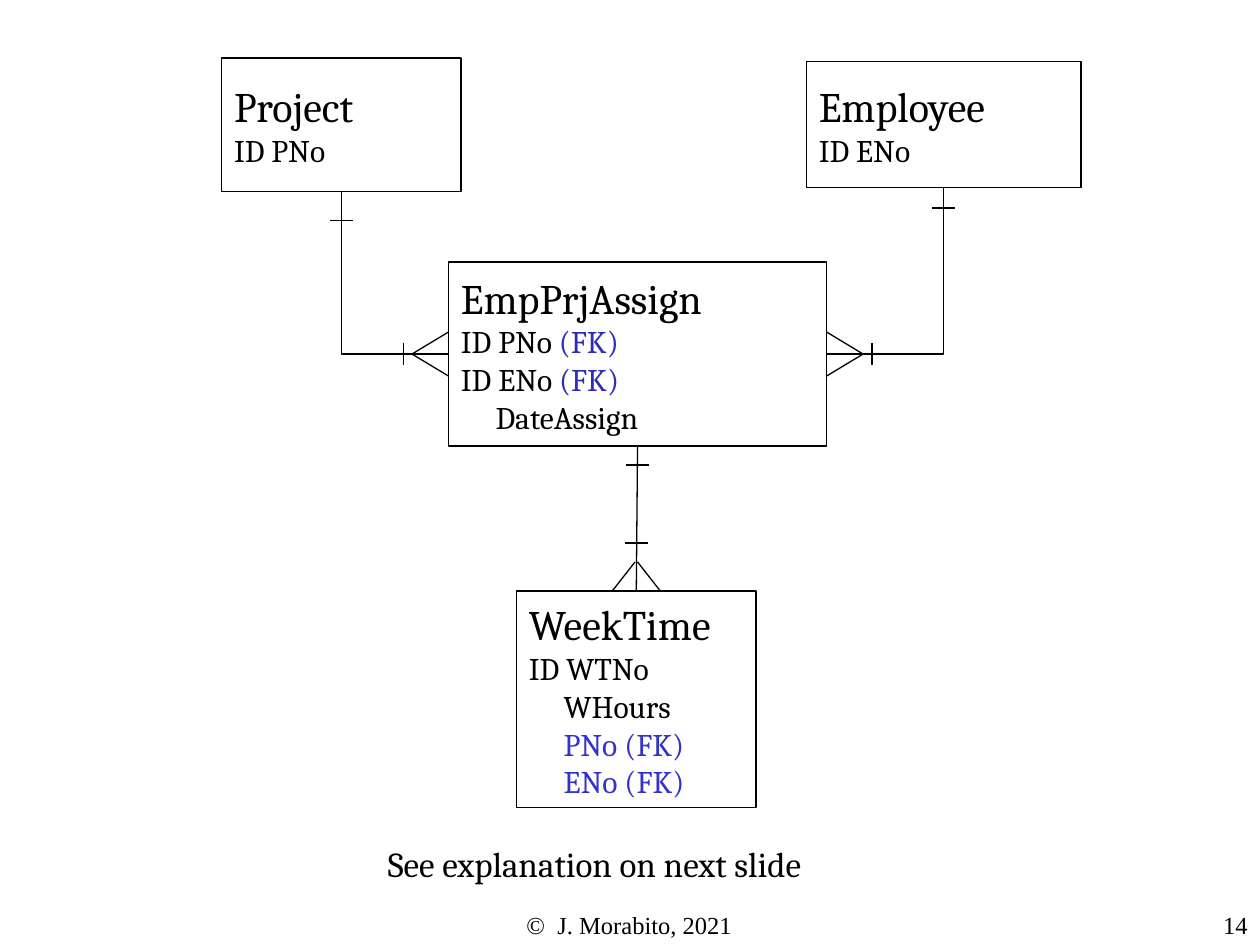
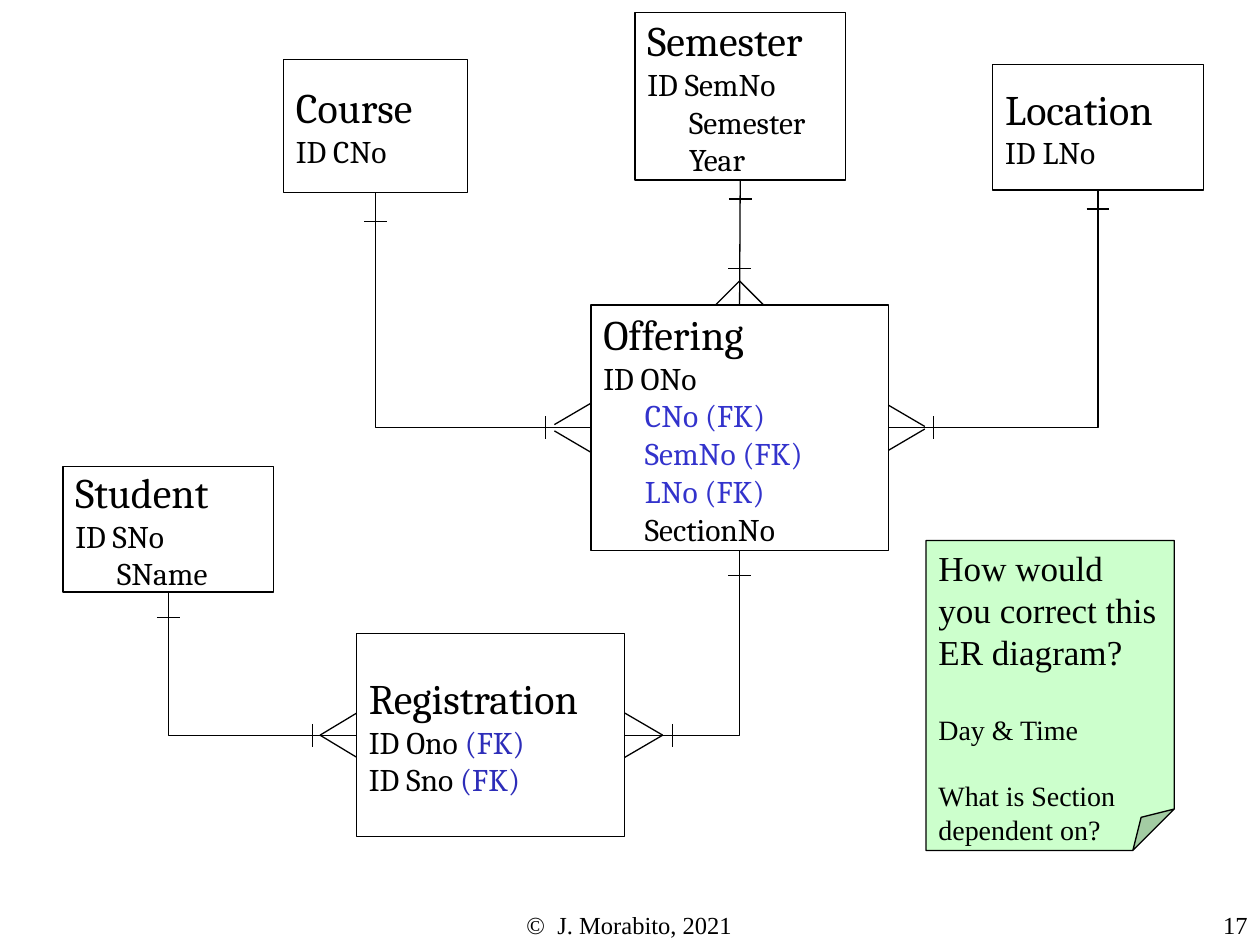
from lxml.etree import SubElement
from pptx import Presentation
from pptx.dml.color import RGBColor
from pptx.enum.shapes import MSO_CONNECTOR, MSO_SHAPE
from pptx.enum.text import MSO_ANCHOR, PP_ALIGN
from pptx.oxml.ns import qn
from pptx.util import Inches, Pt

BLACK = RGBColor(0x00, 0x00, 0x00)
KEY_BLUE = RGBColor(0x33, 0x33, 0xCC)
KEY_MARK_BLUE = RGBColor(0x2D, 0x2D, 0xB9)
NOTE_GREEN = RGBColor(0xCC, 0xFF, 0xCC)

DIAGRAM_FONT = "Cambria"
PLAIN_FONT = "Times New Roman"
FOREIGN_KEY = "(FK)"
COPYRIGHT = "©  J. Morabito, 2021"

COLUMNS, ROWS = 100, 75
WIDTH, HEIGHT = Inches(10), Inches(7.5)
TOP, LEFT, BOTTOM, RIGHT = range(4)
OUTWARD = {TOP: (0, -1), LEFT: (-1, 0), BOTTOM: (0, 1), RIGHT: (1, 0)}
HALF_BAR = 0.9


def write(frame, text, size=18, font=DIAGRAM_FONT, color=BLACK, align=PP_ALIGN.LEFT,
          indent=0, before=0, ending="", ending_color=BLACK):
    """Add one paragraph, with an optional ending in its own colour."""
    paragraph = frame.add_paragraph() if frame.text else frame.paragraphs[0]
    paragraph.alignment = align
    if indent:
        paragraph._p.get_or_add_pPr().set("marL", str(Pt(indent)))
    if before:
        paragraph.space_before = Pt(before)
    for part, part_color in ((text, color), (ending, ending_color)):
        if part:
            run = paragraph.add_run()
            run.text = part
            run.font.size = Pt(size)
            run.font.name = font
            run.font.color.rgb = part_color


def side_point(entity, side):
    """Middle of one side of an entity, in columns and rows."""
    dx, dy = OUTWARD[side]
    x = entity.left + entity.width * (1 + dx) / 2
    y = entity.top + entity.height * (1 + dy) / 2
    return x * COLUMNS / WIDTH, y * ROWS / HEIGHT


class ERDeck:
    def __init__(self):
        self.presentation = Presentation()
        self.presentation.slide_width = WIDTH
        self.presentation.slide_height = HEIGHT
        self.slide = None
        self.indent = 0

    def new_slide(self, number, indent):
        layout = self.presentation.slide_layouts[6]
        self.slide = self.presentation.slides.add_slide(layout)
        self.indent = indent
        footer = dict(size=14, font=PLAIN_FONT)
        self.label(COPYRIGHT, 34.1, 71.7, 31.7, 2.5, align=PP_ALIGN.CENTER, **footer)
        self.label(str(number), 85.8, 71.7, 14.2, 3.3, align=PP_ALIGN.RIGHT, **footer)

    def place(self, column, row):
        return round(WIDTH * column / COLUMNS), round(HEIGHT * row / ROWS)

    def label(self, text, column, row, columns, rows, **style):
        box = self.slide.shapes.add_textbox(
            *self.place(column, row), *self.place(columns, rows))
        box.text_frame.word_wrap = True
        write(box.text_frame, text, **style)

    def outlined(self, preset, column, row, columns, rows, anchor):
        shape = self.slide.shapes.add_shape(
            preset, *self.place(column, row), *self.place(columns, rows))
        shape.shadow.inherit = False
        shape.fill.background()
        shape.line.color.rgb = BLACK
        shape.line.width = Pt(0.75)
        shape.text_frame.word_wrap = True
        shape.text_frame.vertical_anchor = anchor
        return shape

    def entity(self, title, attributes, column, row, columns, rows):
        """Box with a title; attributes other than identifiers are indented."""
        box = self.outlined(MSO_SHAPE.RECTANGLE, column, row, columns, rows,
                            MSO_ANCHOR.MIDDLE)
        write(box.text_frame, title, size=24)
        for attribute in attributes:
            is_foreign = attribute.endswith(FOREIGN_KEY)
            if not attribute.startswith("ID "):
                write(box.text_frame, attribute, indent=self.indent,
                      color=KEY_BLUE if is_foreign else BLACK)
            elif is_foreign:
                write(box.text_frame, attribute.removesuffix(FOREIGN_KEY),
                      ending=FOREIGN_KEY, ending_color=KEY_MARK_BLUE)
            else:
                write(box.text_frame, attribute)
        return box

    def note(self, paragraphs, column, row, columns, rows):
        sheet = self.outlined(MSO_SHAPE.FOLDED_CORNER, column, row, columns, rows,
                              MSO_ANCHOR.TOP)
        sheet.fill.solid()
        sheet.fill.fore_color.rgb = NOTE_GREEN
        for text, size, before in paragraphs:
            write(sheet.text_frame, text, size=size, font=PLAIN_FONT, before=before)

    def line(self, start, end, kind=MSO_CONNECTOR.STRAIGHT):
        connector = self.slide.shapes.add_connector(
            kind, *self.place(*start), *self.place(*end))
        connector.line.color.rgb = BLACK
        connector.line.width = Pt(0.75)
        SubElement(connector._element.spPr, qn("a:effectLst"))
        return connector

    def relation(self, parent, child, side, tick, tip=2.9, spread=1.75, bar=3.6, split=0):
        """Join one parent to many children, entering the child at the given side."""
        start, end = side_point(child, side), side_point(parent, BOTTOM)
        if side == TOP:
            link = self.line(start, end)
        else:
            link = self.line(start, end, MSO_CONNECTOR.ELBOW)
            link._element.spPr.find(qn("a:prstGeom")).set("prst", "bentConnector2")
        link.begin_connect(child, side)
        link.end_connect(parent, BOTTOM)

        self.bar(end, BOTTOM, tick)
        self.bar(start, side, bar)
        for sign in (-1, 1):
            self.line(self.offset(start, side, tip, sign * split),
                      self.offset(start, side, 0, sign * spread))

    def offset(self, point, side, out, along):
        """Point moved outward from a side and along it."""
        dx, dy = OUTWARD[side]
        return point[0] + dx * out + abs(dy) * along, point[1] + dy * out + abs(dx) * along

    def bar(self, point, side, out):
        self.line(*(self.offset(point, side, out, along) for along in (-HALF_BAR, HALF_BAR)))


def add_assignment_slide(deck):
    deck.new_slide(14, indent=19.8)
    employee = deck.entity("Employee", ["ID ENo"], 64, 4.9, 21.8, 10)
    project = deck.entity("Project", ["ID PNo"], 17.6, 4.6, 19, 10.6)
    assignment = deck.entity(
        "EmpPrjAssign", ["ID PNo (FK)", "ID ENo (FK)", "DateAssign"], 35.6, 20.8, 30, 14.6)
    week_time = deck.entity(
        "WeekTime", ["ID WTNo", "WHours", "PNo (FK)", "ENo (FK)"], 41, 46.9, 19, 17.2)
    deck.relation(project, assignment, LEFT, tick=2.3)
    deck.relation(employee, assignment, RIGHT, tick=1.6)
    deck.relation(assignment, week_time, TOP, tick=1.5, tip=2.3, spread=1.9, bar=3.8, split=0.1)
    deck.label("See explanation on next slide", 29.8, 66.4, 40.2, 4.4, size=20)


def add_registration_slide(deck):
    deck.new_slide(17, indent=23.8)
    location = deck.entity("Location", ["ID LNo"], 78.8, 5.1, 16.7, 10)
    course = deck.entity("Course", ["ID CNo"], 22.5, 4.7, 14.6, 10.6)
    offering = deck.entity(
        "Offering", ["ID ONo", "CNo (FK)", "SemNo (FK)", "LNo (FK)", "SectionNo"],
        46.9, 24.2, 23.6, 19.5)
    registration = deck.entity(
        "Registration", ["ID Ono (FK)", "ID Sno (FK)"], 28.3, 50.3, 21.3, 16.1)
    semester = deck.entity(
        "Semester", ["ID SemNo", "Semester", "Year"], 50.4, 1, 16.7, 13.3)
    student = deck.entity("Student", ["ID SNo", "SName"], 5, 37, 16.7, 10)
    deck.relation(course, offering, LEFT, tick=2.3, spread=1.95, split=0.25)
    deck.relation(location, offering, RIGHT, tick=1.5, spread=1.8, split=0.1)
    deck.relation(semester, offering, TOP, tick=1.5, tip=1.9, spread=1.9, bar=2.9)
    deck.relation(student, registration, LEFT, tick=2, bar=3.5)
    deck.relation(offering, registration, RIGHT, tick=2, tip=3, bar=3.75)
    deck.note([("How would you correct this ER diagram?", 20, 0),
               ("Day & Time", 16, 23),
               ("What is Section dependent on?", 16, 18.4)], 73.5, 42.9, 19.7, 24.6)


def main():
    deck = ERDeck()
    add_assignment_slide(deck)
    add_registration_slide(deck)
    deck.presentation.save("out.pptx")


if __name__ == "__main__":
    main()
